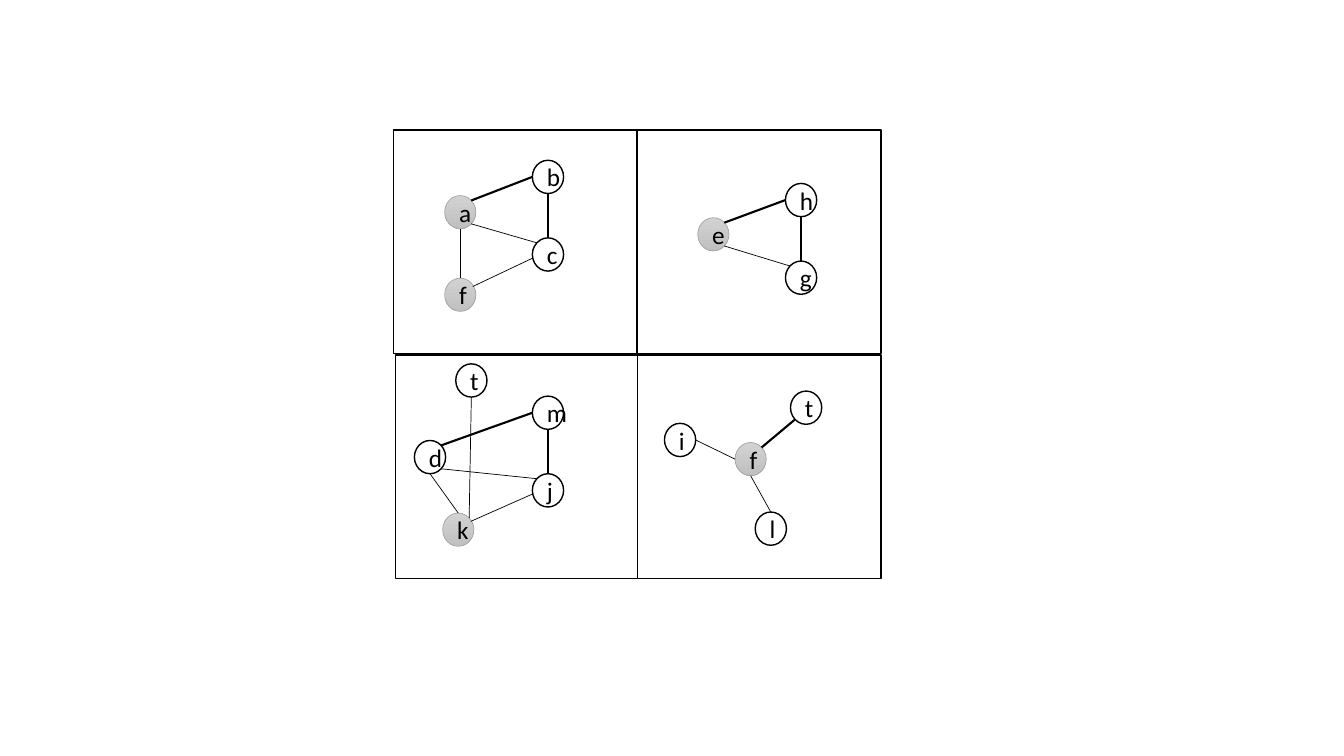
from pptx import Presentation
from pptx.dml.color import RGBColor
from pptx.enum.shapes import MSO_CONNECTOR, MSO_SHAPE
from pptx.enum.text import MSO_ANCHOR, PP_ALIGN
from pptx.oxml.ns import qn
from pptx.util import Inches, Pt
from lxml import etree
from dataclasses import dataclass

RECT, NODE = MSO_SHAPE.RECTANGLE, MSO_SHAPE.FLOWCHART_CONNECTOR
LINE = MSO_CONNECTOR.STRAIGHT
MIDDLE, CENTER = MSO_ANCHOR.MIDDLE, PP_ALIGN.CENTER


@dataclass
class Theme:
    font: str = "Calibri"
    size: float = 18
    ink: str = "000000"
    paper: str = "FFFFFF"
    grey: tuple = ("D2D2D2", "C0C0C0")
    rim: str = "A5A5A5"
    thin: float = 0.5
    edge: float = 1
    thick: float = 1.5


# Node size, and where edges meet a node as fractions of that size
WIDE, HIGH = 0.31, 0.33
SITES = {
    "n": (0.5, 0), "s": (0.5, 1), "w": (0, 0.5), "e": (1, 0.5),
    "nw": (0.15, 0.15), "ne": (0.85, 0.15),
    "sw": (0.15, 0.85), "se": (0.85, 0.85),
    "ene": (0.9, 0.25), "wsw": (0.03, 0.6),
}

# Panel size and corners
SIDE, TALL = 2.42, 2.22
PANELS = [(3.9, 1.29), (6.32, 1.29), (3.92, 3.52), (6.32, 3.52)]

# One graph per panel: nodes, grey nodes, thick edges, thin edges
GRAPHS = [
    ({"a": (4.41, 1.94), "f": (4.41, 2.76), "b": (5.28, 1.59), "c": (5.28, 2.36)},
     "af",
     ["a ne b w", "c n b s"],
     ["a s f n", "f ene c wsw", "a se c nw"]),
    ({"e": (6.92, 2.16), "h": (7.79, 1.82), "g": (7.79, 2.59)},
     "e",
     ["e ne h w", "g n h s"],
     ["e se g nw"]),
    ({"d": (4.11, 4.37), "k": (4.39, 5.09), "m": (5.28, 3.93), "j": (5.28, 4.7),
      "t": (4.52, 3.61)},
     "k",
     ["d ne m w", "j n m s"],
     ["d s k n", "k ene j wsw", "d se j nw", "t s k ne"]),
    ({"f": (7.29, 4.39), "l": (7.49, 5.08), "t": (7.84, 3.88), "i": (6.59, 4.2)},
     "f",
     ["f ne t sw"],
     ["f s l n", "i e f w"]),
]


class Board:
    def __init__(self, slide, theme):
        self.slide, self.theme = slide, theme

    def stroke(self, line, color, width):
        line.color.rgb = RGBColor.from_string(color)
        line.width = Pt(width)

    def box(self, kind, x, y, w, h):
        shape = self.slide.shapes.add_shape(
            kind, Inches(x), Inches(y), Inches(w), Inches(h))
        shape.shadow.inherit = False
        shape.fill.solid()
        shape.fill.fore_color.rgb = RGBColor.from_string(self.theme.paper)
        self.stroke(shape.line, self.theme.ink, self.theme.edge)
        return shape

    def node(self, name, x, y, grey):
        theme = self.theme
        shape = self.box(NODE, x, y, WIDE, HIGH)
        if grey:
            shape.fill.gradient()
            shape.fill.gradient_angle = 270
            for stop, color in zip(shape.fill.gradient_stops, theme.grey):
                stop.color.rgb = RGBColor.from_string(color)
            self.stroke(shape.line, theme.rim, theme.thin)
        frame = shape.text_frame
        frame.text = name
        frame.word_wrap = True
        frame.vertical_anchor = MIDDLE
        para = frame.paragraphs[0]
        para.alignment = CENTER
        font = para.runs[0].font
        font.name, font.size = theme.font, Pt(theme.size)
        font.color.rgb = RGBColor.from_string(theme.ink)

    def link(self, start, end, width):
        line = self.slide.shapes.add_connector(
            LINE, *(Inches(v) for v in start + end))
        self.stroke(line.line, self.theme.ink, width)
        etree.SubElement(line._element.spPr, qn("a:effectLst"))

    def graph(self, nodes, greys, bold, light):
        def meet(name, site):
            (x, y), (dx, dy) = nodes[name], SITES[site]
            return x + dx * WIDE, y + dy * HIGH

        for name, (x, y) in nodes.items():
            self.node(name, x, y, name in greys)
        for edges, width in ((bold, self.theme.thick), (light, self.theme.thin)):
            for edge in edges:
                one, out, two, into = edge.split()
                self.link(meet(one, out), meet(two, into), width)


# Blank slide
deck = Presentation()
deck.slide_width, deck.slide_height = Inches(13.33), Inches(7.5)
board = Board(deck.slides.add_slide(deck.slide_layouts[6]), Theme())

# Panels, then the graphs on them
for x, y in PANELS:
    board.box(RECT, x, y, SIDE, TALL)
for graph in GRAPHS:
    board.graph(*graph)

deck.save("out.pptx")
